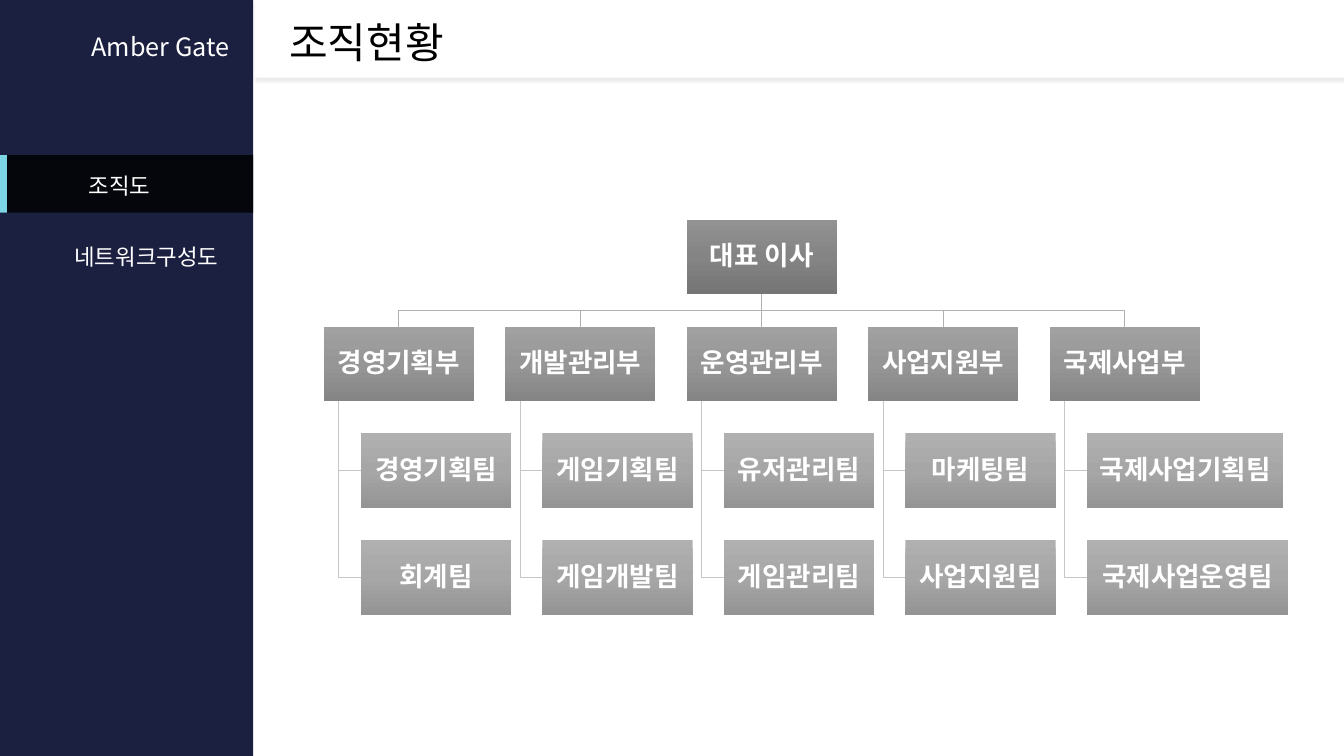
from copy import deepcopy

from lxml import etree
from pptx import Presentation
from pptx import util as u
from pptx.dml.color import RGBColor
from pptx.enum import shapes, text
from pptx.oxml import ns

FONT = "Noto Sans CJK KR"
NAVY = RGBColor(0x1B, 0x20, 0x40)
INK = RGBColor(0x05, 0x06, 0x0B)
AQUA = RGBColor(0x7D, 0xD4, 0xE5)
WHITE = RGBColor(0xFF, 0xFF, 0xFF)
BLACK = RGBColor(0x00, 0x00, 0x00)
CEO_GRADIENT = [RGBColor(v, v, v) for v in (0x92, 0x84, 0x75)]
DEPARTMENT_GRADIENT = [RGBColor(v, v, v) for v in (0xA1, 0x96, 0x85)]
TEAM_GRADIENT = [RGBColor(v, v, v) for v in (0xB0, 0xA6, 0x94)]
TRUNK_GRAY = RGBColor(0xB1, 0xB1, 0xB1)
BRANCH_GRAY = RGBColor(0xC6, 0xC6, 0xC6)

BOX_W, BOX_H = 1.49, 0.74
COLUMN_LEFT, COLUMN_STEP = 3.21, 1.8
ROW_TOP, ROW_STEP = 2.18, 1.06
TEAM_INDENT, STEM_INDENT = 0.37, 0.15

DEPARTMENTS = [
    ("경영기획부", [("경영기획팀", BOX_W), ("회계팀", BOX_W)]),
    ("개발관리부", [("게임기획팀", BOX_W), ("게임개발팀", BOX_W)]),
    ("운영관리부", [("유저관리팀", BOX_W), ("게임관리팀", BOX_W)]),
    ("사업지원부", [("마케팅팀", BOX_W), ("사업지원팀", BOX_W)]),
    ("국제사업부", [("국제사업기획팀", 1.95), ("국제사업운영팀", 2)]),
]


def write(frame, words, size, color=WHITE, bold=False, align=None, spacing=None):
    paragraph = frame.paragraphs[0]
    paragraph.alignment = align
    paragraph.line_spacing = spacing
    run = paragraph.add_run()
    run.text = words
    run.font.size = u.Pt(size)
    run.font.bold = bold
    run.font.color.rgb = color
    run.font.name = FONT
    etree.SubElement(run.font._element, ns.qn("a:ea"), typeface=FONT)


class OrgSlide:
    def __init__(self, slide):
        self.shapes = slide.shapes

    def panel(self, left, top, width, height, color=None):
        panel = self.shapes.add_shape(
            shapes.MSO_SHAPE.RECTANGLE, *map(u.Inches, (left, top, width, height)))
        panel.shadow.inherit = False
        panel.line.fill.background()
        if color is not None:
            panel.fill.solid()
            panel.fill.fore_color.rgb = color
        return panel

    def header(self, left, top, width, height):
        header = self.panel(left, top, width, height, WHITE)
        effects = header._element.spPr.find(ns.qn("a:effectLst"))
        shadow = etree.SubElement(
            effects, ns.qn("a:outerShdw"), blurRad=str(u.Pt(2)),
            dist=str(u.Pt(2)), dir="5400000", algn="t", rotWithShape="0")
        tint = etree.SubElement(shadow, ns.qn("a:srgbClr"), val=str(BLACK))
        etree.SubElement(tint, ns.qn("a:alpha"), val="8000")

    def label(self, words, left, top, width, height, wrap=True, **style):
        label = self.shapes.add_textbox(*map(u.Inches, (left, top, width, height)))
        label.text_frame.word_wrap = wrap
        write(label.text_frame, words, **style)

    def unit(self, words, left, top, gradient, width=BOX_W):
        unit = self.panel(left, top, width, BOX_H)
        unit.fill.gradient()
        unit.fill.gradient_angle = 270
        first_stop = unit._element.spPr.find(".//" + ns.qn("a:gs"))
        first_stop.addnext(deepcopy(first_stop))
        for stop, position, color in zip(unit.fill.gradient_stops, (0, 0.5, 1), gradient):
            stop.position = position
            stop.color.rgb = color
        frame = unit.text_frame
        frame.word_wrap = True
        frame.vertical_anchor = text.MSO_ANCHOR.MIDDLE
        frame.margin_left = frame.margin_right = u.Inches(0.01)
        frame.margin_top = frame.margin_bottom = u.Inches(0.01)
        write(frame, words, 19, bold=True, align=text.PP_ALIGN.CENTER, spacing=0.9)
        return unit

    def elbow(self, points, color):
        start, *rest = [(u.Inches(x), u.Inches(y)) for x, y in points]
        builder = self.shapes.build_freeform(*start)
        builder.add_line_segments(rest, close=False)
        elbow = builder.convert_to_shape()
        elbow.shadow.inherit = False
        elbow.fill.background()
        elbow.line.color.rgb = color
        elbow.line.width = u.Pt(1)

    def straight(self, upper, lower, color):
        straight = self.shapes.add_connector(shapes.MSO_CONNECTOR.STRAIGHT, 0, 0, 0, 0)
        straight.begin_connect(upper, 2)
        straight.end_connect(lower, 0)
        straight.line.color.rgb = color
        straight.line.width = u.Pt(1)
        etree.SubElement(straight._element.spPr, ns.qn("a:effectLst"))


def draw_frame(board):
    board.panel(0, 0, 2.51, 7.5, NAVY)
    board.header(2.53, 0, 10.83, 0.77)
    board.label("Amber Gate", 0.81, 0.26, 1.72, 0.4, size=18)
    board.panel(0, 1.54, 2.51, 0.57, INK)
    board.panel(0, 1.54, 0.07, 0.57, AQUA)
    board.label("조직도", 0.78, 1.66, 0.88, 0.37, wrap=False, size=16)
    board.label("네트워크구성도", 0.64, 2.36, 1.77, 0.37, wrap=False, size=16)
    board.label("조직현황", 2.77, 0.11, 6.08, 0.61, size=30, color=BLACK)


def draw_chart(board):
    middle = len(DEPARTMENTS) // 2
    ceo_left = COLUMN_LEFT + middle * COLUMN_STEP
    ceo = board.unit("대표 이사", ceo_left, ROW_TOP, CEO_GRADIENT)
    ceo_center, ceo_bottom = ceo_left + BOX_W / 2, ROW_TOP + BOX_H
    department_top = ROW_TOP + ROW_STEP
    rail = (ceo_bottom + department_top) / 2

    for column, (department_name, teams) in enumerate(DEPARTMENTS):
        left = COLUMN_LEFT + column * COLUMN_STEP
        center = left + BOX_W / 2
        department = board.unit(department_name, left, department_top, DEPARTMENT_GRADIENT)
        if column == middle:
            board.straight(ceo, department, TRUNK_GRAY)
        else:
            board.elbow([(ceo_center, ceo_bottom), (ceo_center, rail),
                         (center, rail), (center, department_top)], TRUNK_GRAY)

        stem, team_left = left + STEM_INDENT, left + TEAM_INDENT
        for row, (team_name, width) in enumerate(teams, start=2):
            top = ROW_TOP + row * ROW_STEP
            team_middle = top + BOX_H / 2
            board.elbow([(stem, department_top + BOX_H), (stem, team_middle),
                         (team_left, team_middle)], BRANCH_GRAY)
            board.unit(team_name, team_left, top, TEAM_GRADIENT, width)


def main():
    deck = Presentation()
    deck.slide_width, deck.slide_height = u.Inches(13.33), u.Inches(7.5)
    board = OrgSlide(deck.slides.add_slide(deck.slide_layouts[6]))
    draw_frame(board)
    draw_chart(board)
    deck.save("out.pptx")


if __name__ == "__main__":
    main()
